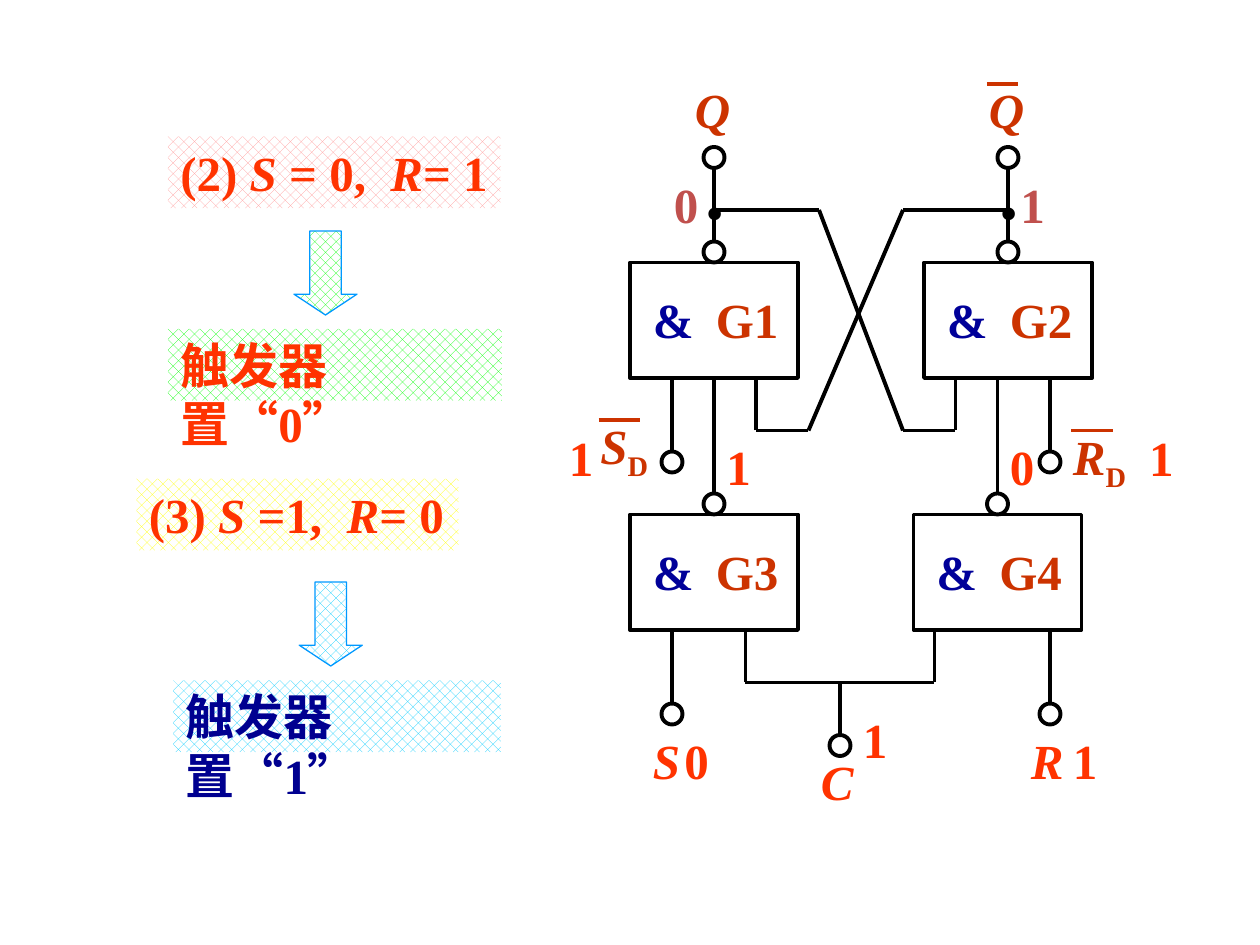
from itertools import pairwise

from lxml import etree
from pptx import Presentation
from pptx.dml.color import RGBColor
from pptx.enum.dml import MSO_PATTERN
from pptx.enum.shapes import MSO_CONNECTOR, MSO_SHAPE
from pptx.enum.text import MSO_ANCHOR, PP_ALIGN
from pptx.oxml.ns import qn
from pptx.util import Pt

RECTANGLE = MSO_SHAPE.RECTANGLE
OVAL = MSO_SHAPE.OVAL
DOWN_ARROW = MSO_SHAPE.DOWN_ARROW
STRAIGHT = MSO_CONNECTOR.STRAIGHT
HATCH = MSO_PATTERN.from_xml("pct40")
TOP = MSO_ANCHOR.TOP
LEFT = PP_ALIGN.LEFT

BLACK = RGBColor(0, 0, 0)
WHITE = RGBColor(255, 255, 255)
RED = RGBColor(0xFF, 0x33, 0x00)
RUST = RGBColor(0xCC, 0x33, 0x00)
BRICK = RGBColor(0xC0, 0x50, 0x4D)
NAVY = RGBColor(0x00, 0x00, 0x90)
BLUE = RGBColor(0x00, 0x00, 0x99)
SKY = RGBColor(0x00, 0x99, 0xFF)
PINK = RGBColor(0xFF, 0x99, 0x99)
GREEN = RGBColor(0x00, 0xFF, 0x00)
YELLOW = RGBColor(0xFF, 0xFF, 0x00)
CYAN = RGBColor(0x00, 0xCC, 0xFF)

FONT = "Times New Roman"
TEXT_HEIGHT = 41
WIRE = 2.25
BUBBLE = 12
GATE_WIDTH, GATE_HEIGHT = 96, 66


def write(frame, pieces, color, size=28, wrap=True):
    frame.word_wrap = wrap
    frame.vertical_anchor = TOP
    paragraph = frame.paragraphs[0]
    paragraph.alignment = LEFT
    for words, style in pieces:
        run = paragraph.add_run()
        run.text = words
        run.font.name = FONT
        run.font.size = Pt(size)
        run.font.bold = True
        run.font.italic = style == "italic"
        run.font.color.rgb = color
        if style == "sub":
            run._r.get_or_add_rPr().set("baseline", "-25000")


def add_label(slide, left, top, width, pieces, color, size=28, height=TEXT_HEIGHT):
    label = slide.shapes.add_textbox(Pt(left), Pt(top), Pt(width), Pt(height))
    write(label.text_frame, pieces, color, size)


def add_outline(slide, kind, left, top, width, height, color=BLACK, weight=WIRE):
    outline = slide.shapes.add_shape(kind, Pt(left), Pt(top), Pt(width), Pt(height))
    outline.shadow.inherit = False
    outline.fill.background()
    outline.line.color.rgb = color
    outline.line.width = Pt(weight)
    return outline


def hatch(shape, color):
    shape.fill.patterned()
    shape.fill.pattern = HATCH
    shape.fill.fore_color.rgb = color
    shape.fill.back_color.rgb = WHITE


def add_panel(slide, left, top, width, pieces, tint, color=RED, wrap=True):
    panel = add_outline(slide, RECTANGLE, left, top, width, TEXT_HEIGHT)
    panel.line.fill.background()
    hatch(panel, tint)
    write(panel.text_frame, pieces, color, wrap=wrap)


def add_arrow(slide, left, top, tint):
    arrow = add_outline(slide, DOWN_ARROW, left, top, 36, 48, SKY, 0.75)
    arrow.adjustments[0] = 0.5
    arrow.adjustments[1] = 0.33
    hatch(arrow, tint)


def add_wire(slide, points, color=BLACK):
    for (x1, y1), (x2, y2) in pairwise(points):
        wire = slide.shapes.add_connector(STRAIGHT, Pt(x1), Pt(y1), Pt(x2), Pt(y2))
        wire.line.color.rgb = color
        wire.line.width = Pt(WIRE)
        etree.SubElement(wire._element.spPr, qn("a:effectLst"))


def add_bubble(slide, x, y):
    add_outline(slide, OVAL, x - BUBBLE / 2, y - BUBBLE / 2, BUBBLE, BUBBLE)


def add_gate(slide, name, left, top):
    add_outline(slide, RECTANGLE, left, top, GATE_WIDTH, GATE_HEIGHT)
    add_bubble(slide, left + GATE_WIDTH / 2, top - BUBBLE / 2)
    add_label(slide, left + 6, top + 12, 42, [("&", "")], BLUE)
    add_label(slide, left + 42, top + 12, 66, [(name, "")], RUST)


def add_conditions(slide):
    for left, top, width, opening, middle, ending, tint in [
        (96, 78, 190, "(2) ", " = 0,  ", "= 1", PINK),
        (78, 273.6, 184, "(3) ", " =1,  ", "= 0", YELLOW),
    ]:
        pieces = [(opening, ""), ("S", "italic"), (middle, ""), ("R", "italic"), (ending, "")]
        add_panel(slide, left, top, width, pieces, tint, wrap=False)
    add_arrow(slide, 168, 132, GREEN)
    add_arrow(slide, 171, 332.6, CYAN)
    add_panel(slide, 96, 188, 190.8, [("触发器置“0”", "")], GREEN)
    add_panel(slide, 99, 388.8, 187.2, [("触发器置“1”", "")], CYAN, NAVY)


def add_circuit(slide):
    for name, left, top in [("G1", 360, 150), ("G2", 528, 150), ("G3", 360, 294), ("G4", 522, 294)]:
        add_gate(slide, name, left, top)

    for x, y in [(408, 90), (576, 90), (384, 264), (600, 264), (384, 408), (600, 408), (480, 426)]:
        add_bubble(slide, x, y)

    for x, start, end in [
        (408, 96, 138), (576, 96, 138),
        (384, 216, 258), (600, 216, 258),
        (408, 216, 282), (570, 216, 282),
        (384, 360, 402), (600, 360, 402),
        (480, 390, 420),
    ]:
        add_wire(slide, [(x, start), (x, end)])
    add_wire(slide, [(408, 120), (468, 120), (516, 246), (546, 246), (546, 216)])
    add_wire(slide, [(576, 120), (516, 120), (462, 246), (432, 246), (432, 216)])
    add_wire(slide, [(426, 360), (426, 390), (534, 390), (534, 360)])

    for left in (396, 564):
        add_label(slide, left, 78, 25.5, [(".", "")], BLACK, 44, 60)


def add_signals(slide):
    for name, left, top, color in [
        ("Q", 390, 42, RUST), ("Q", 558, 42, RUST),
        ("S", 366, 414, RED), ("R", 582, 414, RED), ("C", 462, 426, RED),
    ]:
        add_label(slide, left, top, 36, [(name, "italic")], color)
    for name, left, top in [("S", 336, 234), ("R", 606, 240)]:
        add_label(slide, left, top, 60, [(name, "italic"), ("D", "sub")], RUST)
    for left, right, y in [(564, 582, 48), (342, 366, 240), (612, 636, 246)]:
        add_wire(slide, [(left, y), (right, y)], RUST)

    for value, left, top, color in [
        ("0", 378, 96, BRICK), ("1", 576, 96, BRICK),
        ("1", 318, 241, RED), ("1", 649.5, 241, RED),
        ("1", 408, 246, RED), ("0", 570, 246, RED),
        ("0", 384, 414, RED), ("1", 606, 414, RED),
        ("1", 486, 402, RED),
    ]:
        add_label(slide, left, top, 29, [(value, "")], color)


def main():
    deck = Presentation()
    deck.slide_width, deck.slide_height = Pt(720), Pt(540)
    slide = deck.slides.add_slide(deck.slide_layouts[6])
    add_conditions(slide)
    add_circuit(slide)
    add_signals(slide)
    deck.save("out.pptx")


main()
